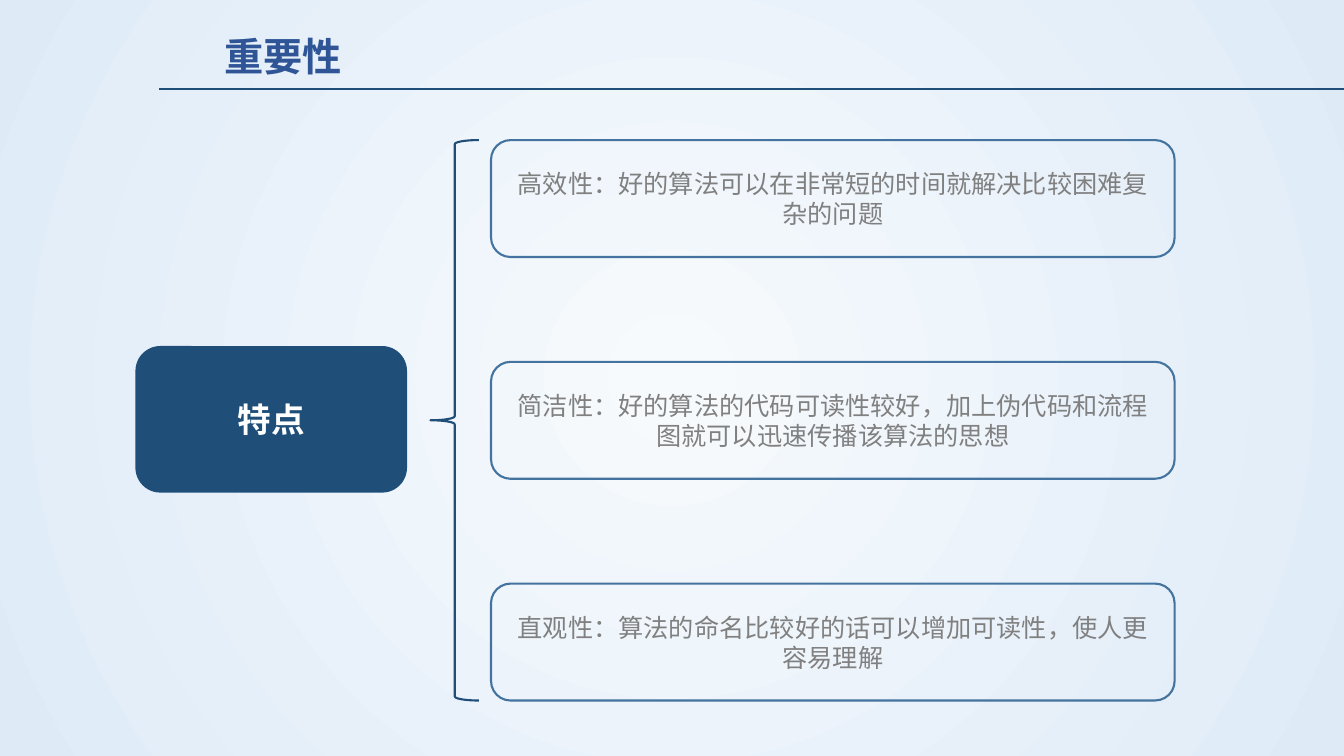
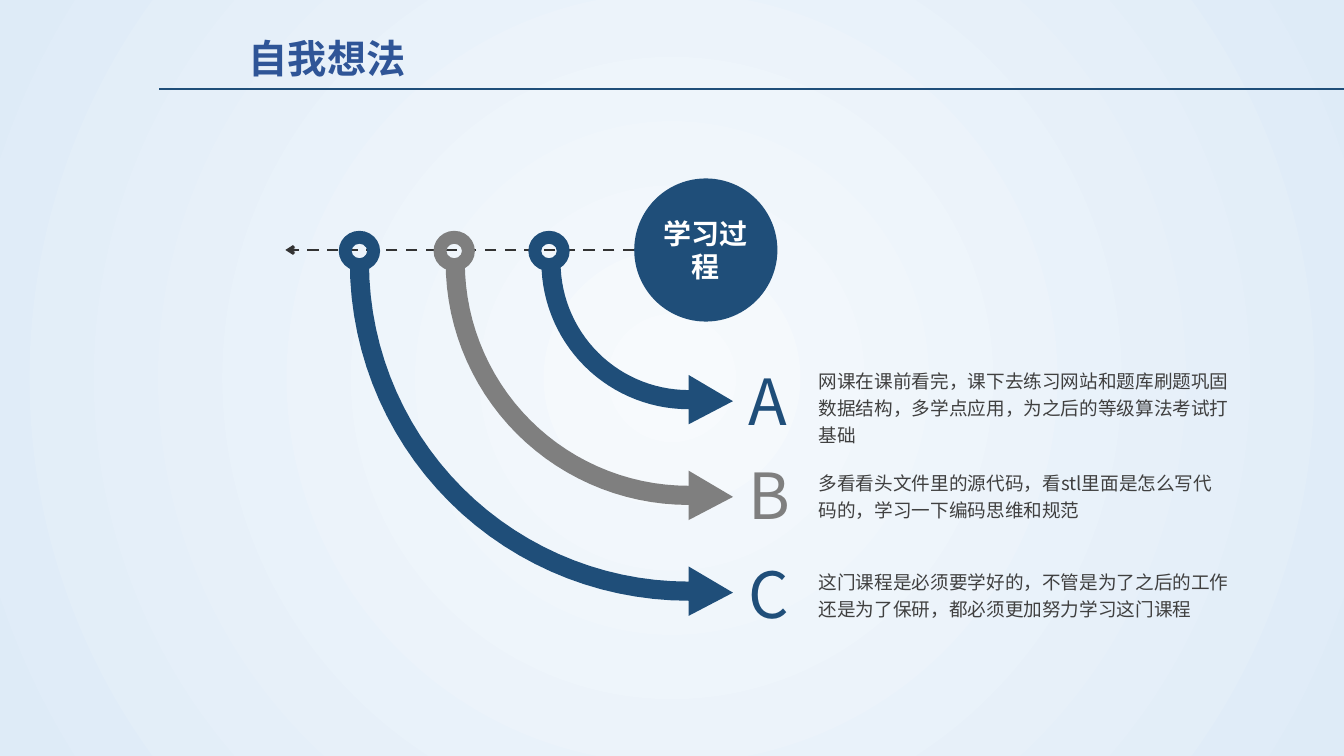
import math

from lxml import etree
from pptx import Presentation
from pptx import util as u
from pptx.dml.color import RGBColor
from pptx.enum import dml, shapes, text
from pptx.oxml.ns import qn

FONT = "Noto Sans CJK SC"
NAVY, GREY, WHITE = "1F4E79", "7F7F7F", "FFFFFF"
TITLE_BLUE, BOX_BLUE = "2F5597", "43739E"
BOX_TEXT, BODY_TEXT, DASH_GREY = "808080", "404040", "333333"
SHAPE = shapes.MSO_SHAPE
CENTER, LEFT = text.PP_ALIGN.CENTER, text.PP_ALIGN.LEFT
MIDDLE, TOP = text.MSO_ANCHOR.MIDDLE, text.MSO_ANCHOR.TOP


def paint(shape, fill=None, line=None, width=1):
    if fill:
        shape.fill.solid()
        shape.fill.fore_color.rgb = RGBColor.from_string(fill)
    elif shape.shape_type != shapes.MSO_SHAPE_TYPE.LINE:
        shape.fill.background()
    if line:
        shape.line.color.rgb = RGBColor.from_string(line)
        shape.line.width = u.Pt(width)
    else:
        shape.line.fill.background()
    if shape.shape_type == shapes.MSO_SHAPE_TYPE.LINE:
        etree.SubElement(shape.line._get_or_add_ln().getparent(), qn("a:effectLst"))
    else:
        shape.shadow.inherit = False


def write(shape, words, size, color, bold=False, align=CENTER, anchor=MIDDLE,
          wrap=True, tight=False, grow=False, spacing=None):
    frame = shape.text_frame
    frame.text = words
    frame.word_wrap = wrap
    frame.vertical_anchor = anchor
    if grow:
        frame.auto_size = text.MSO_AUTO_SIZE.SHAPE_TO_FIT_TEXT
    if tight:
        frame.margin_left = frame.margin_right = u.Inches(0.08)
        frame.margin_top = frame.margin_bottom = u.Inches(0.04)
    paragraph = frame.paragraphs[0]
    paragraph.alignment = align
    paragraph.line_spacing = spacing
    run = paragraph.runs[0]
    run.font.size = u.Pt(size)
    run.font.bold = bold
    run.font.color.rgb = RGBColor.from_string(color)
    run.font.name = FONT
    etree.SubElement(run._r.get_or_add_rPr(), qn("a:ea"), typeface=FONT)


presentation = Presentation()
presentation.slide_width = u.Inches(13.33)
presentation.slide_height = u.Inches(7.5)

background = presentation.slide_master.background.fill
background.gradient()
for stop, position, color in zip(background.gradient_stops, (0, 1), ("F7FAFD", "DEEBF7")):
    stop.position = position
    stop.color.rgb = RGBColor.from_string(color)
linear = next(presentation.slide_master.element.iter(qn("a:lin")))
radial = etree.Element(qn("a:path"), path="circle")
etree.SubElement(radial, qn("a:fillToRect"), l="50000", t="50000", r="50000", b="50000")
linear.getparent().replace(linear, radial)

slides = []
for title, left, top in (("重要性", 2.13, 0.27), ("自我想法", 2.37, 0.29)):
    slide = presentation.slides.add_slide(presentation.slide_layouts[6])
    rule = slide.shapes.add_connector(
        shapes.MSO_CONNECTOR.STRAIGHT,
        u.Inches(1.58), u.Inches(0.88), u.Inches(13.33), u.Inches(0.88))
    paint(rule, line=NAVY, width=1.25)
    heading = slide.shapes.add_textbox(
        u.Inches(left), u.Inches(top), u.Inches(3.04), u.Inches(0.57))
    write(heading, title, 28, TITLE_BLUE, bold=True, align=LEFT, anchor=TOP, grow=True)
    slides.append(slide)
importance, ideas = slides

topic = importance.shapes.add_shape(
    SHAPE.ROUNDED_RECTANGLE, u.Inches(1.35), u.Inches(3.44), u.Inches(2.68), u.Inches(1.44))
paint(topic, NAVY, NAVY)
write(topic, "特点", 24, WHITE, bold=True)

brace = importance.shapes.add_shape(
    SHAPE.LEFT_BRACE, u.Inches(4.27), u.Inches(1.39), u.Inches(0.48), u.Inches(5.56))
paint(brace, line=NAVY, width=1.5)

features = (
    "高效性：好的算法可以在非常短的时间就解决比较困难复杂的问题",
    "简洁性：好的算法的代码可读性较好，加上伪代码和流程图就可以迅速传播该算法的思想",
    "直观性：算法的命名比较好的话可以增加可读性，使人更容易理解",
)
for row, feature in enumerate(features):
    box = importance.shapes.add_shape(
        SHAPE.ROUNDED_RECTANGLE, u.Inches(4.87), u.Inches(1.39 + 2.2 * row),
        u.Inches(6.78), u.Inches(1.16))
    paint(box, line=BOX_BLUE, width=1.5)
    write(box, feature, 18, BOX_TEXT)

process = ideas.shapes.add_shape(
    SHAPE.OVAL, u.Inches(6.29), u.Inches(1.77), u.Inches(1.42), u.Inches(1.42))
paint(process, NAVY)
write(process, "学习过程", 20, WHITE, bold=True, tight=True)

timeline = ideas.shapes.add_connector(
    shapes.MSO_CONNECTOR.STRAIGHT,
    u.Inches(6.29), u.Inches(2.48), u.Inches(2.83), u.Inches(2.48))
paint(timeline, line=DASH_GREY, width=0)
timeline.line.dash_style = dml.MSO_LINE.DASH
etree.SubElement(timeline.line._get_or_add_ln(), qn("a:tailEnd"), type="arrow")

pivot_x, pivot_y = 6.83, 2.6
angles = [math.radians(degree) for degree in range(90, 181, 3)]
steps = (
    ("A", NAVY, 3.54, 3.59, 0.87,
     "网课在课前看完，课下去练习网站和题库刷题巩固数据结构，多学点应用，为之后的等级算法考试打基础"),
    ("B", GREY, 4.48, 4.6, 0.6,
     "多看看头文件里的源代码，看stl里面是怎么写代码的，学习一下编码思维和规范"),
    ("C", NAVY, 5.46, 5.58, 0.6,
     "这门课程是必须要学好的，不管是为了之后的工作还是为了保研，都必须更加努力学习这门课程"),
)
for index, (letter, color, letter_top, body_top, body_height, body) in enumerate(steps):
    ring = ideas.shapes.add_shape(
        SHAPE.DONUT, u.Inches(5.24 - 0.94 * index), u.Inches(2.29), u.Inches(0.41), u.Inches(0.4))
    ring.adjustments[0] = 0.32
    paint(ring, color)

    outer = 1.46 + 0.95 * index
    inner = outer - 0.19
    outline = [(outer * math.cos(angle), outer * math.sin(angle)) for angle in angles]
    outline += [(inner * math.cos(angle), inner * math.sin(angle)) for angle in reversed(angles)]
    outline += [(0, outer - 0.34), (0.44, outer - 0.08), (0, outer + 0.15)]
    points = [(u.Inches(pivot_x + x), u.Inches(pivot_y + y)) for x, y in outline]
    builder = ideas.shapes.build_freeform(*points[0])
    builder.add_line_segments(points[1:], close=True)
    paint(builder.convert_to_shape(), color)

    label = ideas.shapes.add_textbox(
        u.Inches(7.34), u.Inches(letter_top), u.Inches(0.6), u.Inches(0.85))
    write(label, letter, 45.4, color, align=LEFT, wrap=False, tight=True, grow=True)
    note = ideas.shapes.add_textbox(
        u.Inches(8.04), u.Inches(body_top), u.Inches(4.24), u.Inches(body_height))
    write(note, body, 13.3, BODY_TEXT, align=LEFT, anchor=TOP, tight=True, grow=True, spacing=1.2)

presentation.save("out.pptx")
